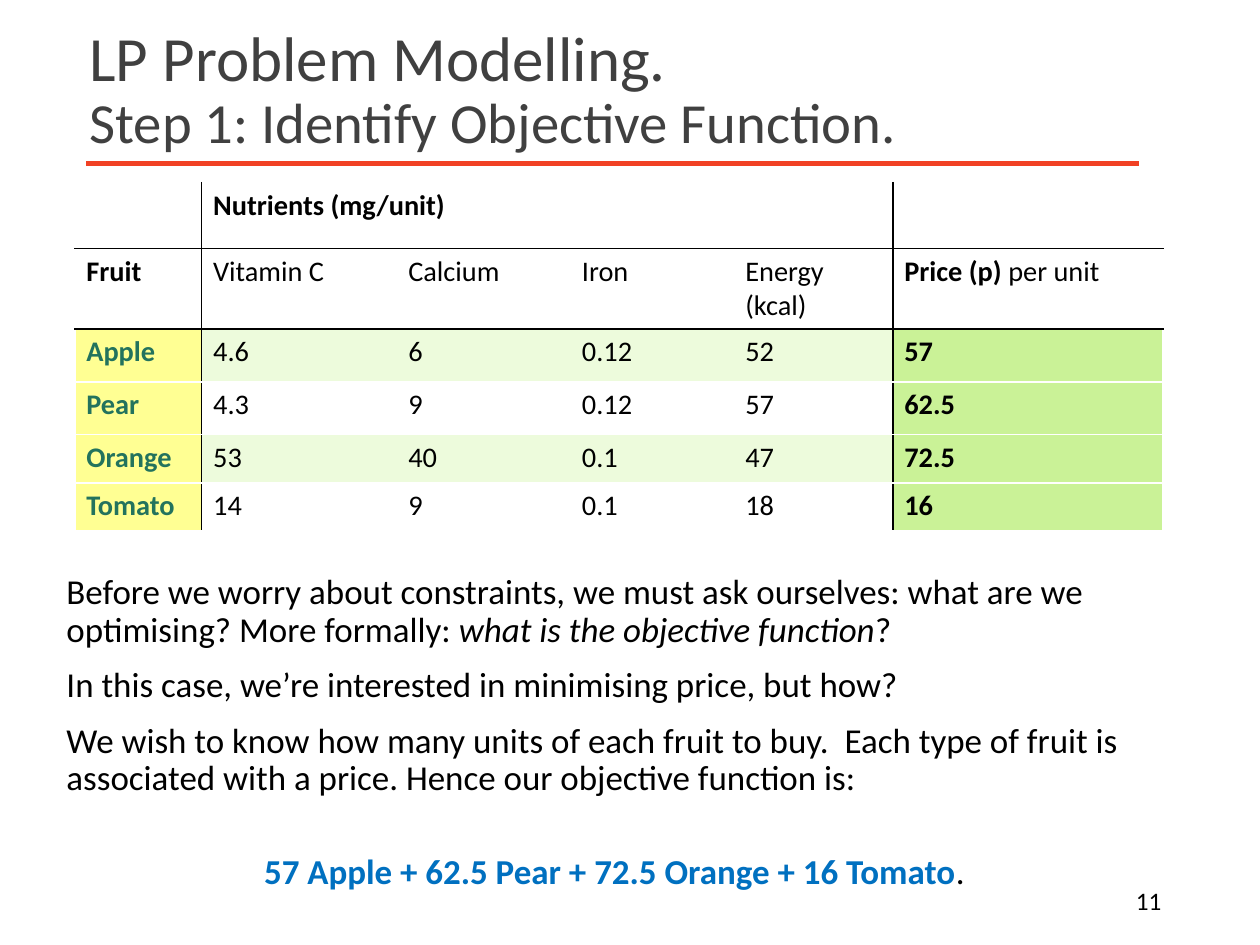
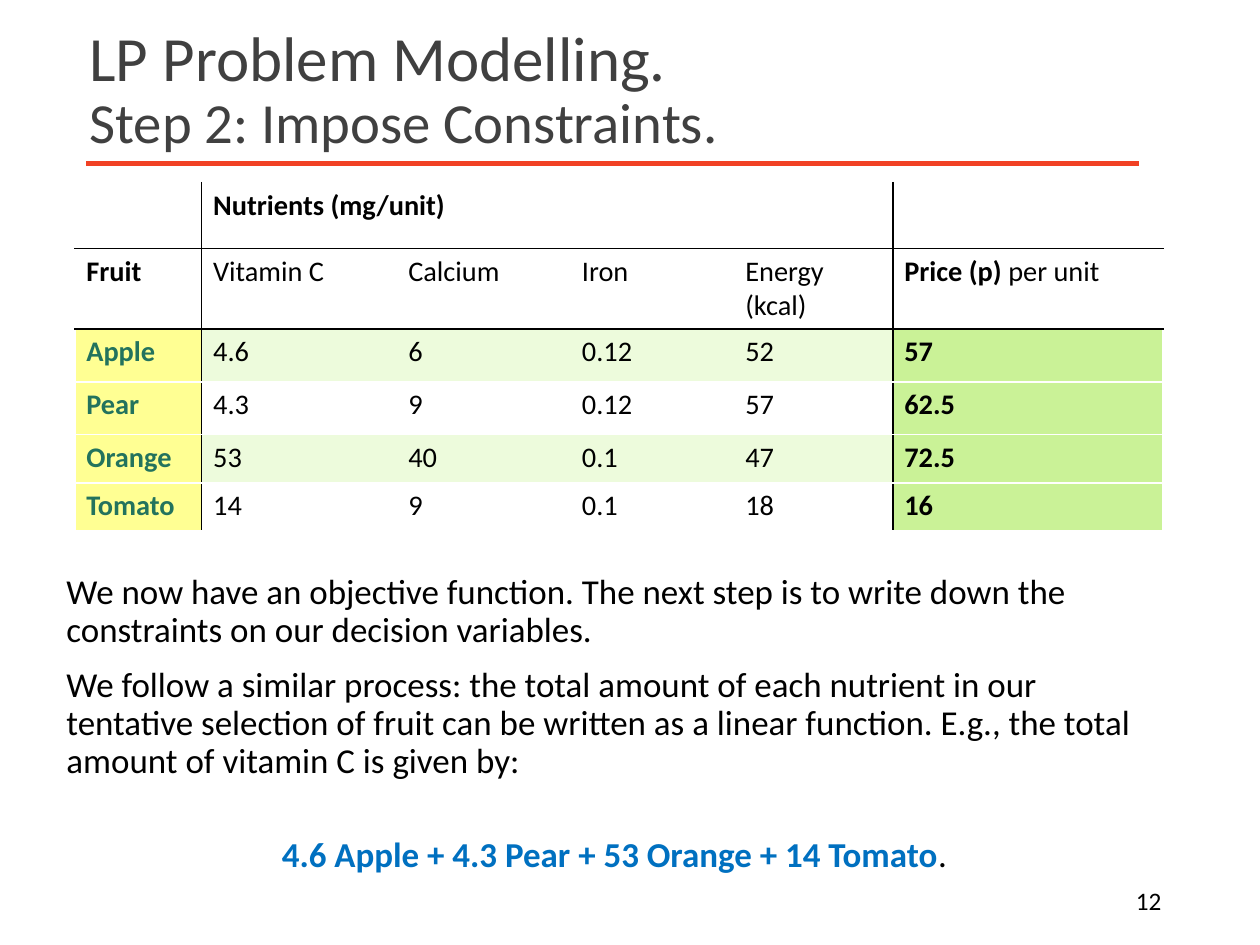
import pptx
import pptx.dml.color
import pptx.enum.shapes
import pptx.enum.text
import pptx.oxml
import pptx.util
from pptx.util import Cm, Pt

# Content: text parts are (text, style), style being "", "bold", "italic" or "formula"
FIRST_NUMBER = 11
TOPIC = "LP Problem Modelling."
STEPS = [
    {
        "title": "Step 1: Identify Objective Function.",
        "explanation": [
            [("Before we worry about constraints, we must ask ourselves: what are we "
              "optimising? More formally: ", ""),
             ("what is the objective function", "italic"), ("?", "")],
            [("In this case, we’re interested in minimising price, but how?", "")],
            [("We wish to know how many units of each fruit to buy.  Each type of fruit is "
              "associated with a price. Hence our objective function is:", "")],
        ],
        "formula": "57 Apple + 62.5 Pear + 72.5 Orange + 16 Tomato",
    },
    {
        "title": "Step 2: Impose Constraints.",
        "explanation": [
            [("We now have an objective function. The next step is to write down the "
              "constraints on our decision variables.", "")],
            [("We follow a similar process: the total amount of each nutrient in our "
              "tentative selection of fruit can be written as a linear function. E.g., the "
              "total amount of vitamin C is given by:", "")],
        ],
        "formula": "4.6 Apple + 4.3 Pear + 53 Orange + 14 Tomato",
    },
]
FRUIT_ROWS = [
    ["", "Nutrients (mg/unit)", "", "", "", ""],
    ["Fruit", "Vitamin C", "Calcium", "Iron", "Energy (kcal)", "Price (p) "],
    ["Apple", "4.6", "6", "0.12", "52", "57"],
    ["Pear", "4.3", "9", "0.12", "57", "62.5"],
    ["Orange", "53", "40", "0.1", "47", "72.5"],
    ["Tomato", "14", "9", "0.1", "18", "16"],
]
PRICE_UNIT = "per unit"
HEADER_ROWS, PRICE_COL = 2, 5

# Shared look
FONT = "Calibri"
BLACK, WHITE, GREY, RED, BLUE = "000000", "FFFFFF", "404040", "F14124", "0070C0"
FRUIT_TEXT, FRUIT_FILL, PRICE_FILL, BAND_FILL = "23735D", "FFFF93", "CAF297", "EDFBDC"
COL_WIDTHS = [2.84, 4.37, 3.89, 3.66, 3.56, 6.05]
ROW_HEIGHTS = [1.48, 1.8, 1.19, 1.17, 1.09, 1.07]
VERTICAL_RULES = {0: WHITE, 1: BLACK, 5: BLACK, 6: WHITE}
HORIZONTAL_RULES = {1: BLACK, 2: BLACK}
BODY_SIZE, BODY_GAP, FORMULA_GAP = 22.2, 11.1, 35.5


def rgb(colour):
    return pptx.dml.color.RGBColor.from_string(colour)


def set_font(font, size, colour=BLACK):
    font.name, font.size, font.color.rgb = FONT, Pt(size), rgb(colour)


def add_run(paragraph, text, style=""):
    run = paragraph.add_run()
    run.text = text
    if style in ("bold", "formula"):
        run.font.bold = True
    if style == "italic":
        run.font.italic = True
    if style == "formula":
        run.font.color.rgb = rgb(BLUE)
    return run


def add_text_frame(slide, left, top, width, height):
    frame = slide.shapes.add_textbox(Cm(left), Cm(top), Cm(width), Cm(height)).text_frame
    frame.word_wrap = True
    return frame


def add_heading(slide, step_title):
    title = slide.shapes.title
    title.left, title.top, title.width, title.height = Cm(1.75), Cm(0), Cm(24.33), Cm(4.09)
    frame = title.text_frame
    frame.auto_size = pptx.enum.text.MSO_AUTO_SIZE.NONE
    frame.vertical_anchor = pptx.enum.text.MSO_ANCHOR.MIDDLE
    heading = frame.paragraphs[0]
    heading.alignment = pptx.enum.text.PP_ALIGN.LEFT
    heading.line_spacing = 0.9
    set_font(heading.font, 40, GREY)
    add_run(heading, TOPIC).font.size = Pt(40)
    heading.add_line_break()
    add_run(heading, step_title).font.size = Pt(36)

    rule = slide.shapes.add_connector(
        pptx.enum.shapes.MSO_CONNECTOR.STRAIGHT, Cm(1.93), Cm(3.66), Cm(25.5), Cm(3.66))
    rule.line.color.rgb = rgb(RED)
    rule.line.width = Pt(3)
    effects = pptx.oxml.ns.qn("a:effectLst")
    rule._element.spPr.append(rule._element.makeelement(effects, {}))


def set_border(cell, side, colour):
    if colour:
        paint = f'<a:solidFill><a:srgbClr val="{colour}"/></a:solidFill>'
    else:
        paint = "<a:noFill/>"
    cell._tc.get_or_add_tcPr().append(pptx.oxml.parse_xml(
        f'<a:ln{side} {pptx.oxml.ns.nsdecls("a")} w="12700">{paint}</a:ln{side}>'))


def cell_fill(row, col):
    if row < HEADER_ROWS:
        return None
    if col == 0:
        return FRUIT_FILL
    if col == PRICE_COL:
        return PRICE_FILL
    return BAND_FILL if row % 2 == 0 else None


def add_fruit_table(slide):
    table = slide.shapes.add_table(
        len(ROW_HEIGHTS), len(COL_WIDTHS), Cm(1.68), Cm(4.09),
        Cm(sum(COL_WIDTHS)), Cm(sum(ROW_HEIGHTS))).table
    table.first_row = table.horz_banding = False
    for column, width in zip(table.columns, COL_WIDTHS):
        column.width = Cm(width)
    for table_row, height in zip(table.rows, ROW_HEIGHTS):
        table_row.height = Cm(height)
    table.cell(0, 1).merge(table.cell(0, PRICE_COL - 1))

    for row, texts in enumerate(FRUIT_ROWS):
        for col, text in enumerate(texts):
            cell = table.cell(row, col)
            set_border(cell, "L", VERTICAL_RULES.get(col))
            set_border(cell, "R", VERTICAL_RULES.get(col + cell.span_width))
            set_border(cell, "T", HORIZONTAL_RULES.get(row, WHITE))
            set_border(cell, "B", HORIZONTAL_RULES.get(row + 1, WHITE))
            fill = cell_fill(row, col)
            if fill:
                cell.fill.solid()
                cell.fill.fore_color.rgb = rgb(fill)
            else:
                cell.fill.background()
            entry = cell.text_frame.paragraphs[0]
            is_fruit = col == 0 and row >= HEADER_ROWS
            set_font(entry.font, 18, FRUIT_TEXT if is_fruit else BLACK)
            if text:
                add_run(entry, text, "bold" if row == 0 or col in (0, PRICE_COL) else "")
    add_run(table.cell(1, PRICE_COL).text_frame.paragraphs[0], PRICE_UNIT)


def add_explanation(slide, explanation, formula):
    frame = add_text_frame(slide, 1.24, 12.75, 25.04, 7.39)
    lines = explanation + [[(formula, "formula"), (".", "")]]
    for index, parts in enumerate(lines):
        line = frame.add_paragraph() if index else frame.paragraphs[0]
        line.line_spacing = 0.9
        line.space_before = Pt(BODY_GAP)
        set_font(line.font, BODY_SIZE)
        for text, style in parts:
            add_run(line, text, style)
    # The closing formula stands apart, centred
    line.space_before = Pt(FORMULA_GAP)
    line.alignment = pptx.enum.text.PP_ALIGN.CENTER


def add_page_number(slide, number):
    frame = add_text_frame(slide, 19.91, 19.61, 6.35, 1.12)
    frame.vertical_anchor = pptx.enum.text.MSO_ANCHOR.MIDDLE
    page = frame.paragraphs[0]
    page.alignment = pptx.enum.text.PP_ALIGN.RIGHT
    set_font(page.font, 16)
    add_run(page, str(number))


# Build the slides
deck = pptx.Presentation()
deck.slide_width, deck.slide_height = Cm(28.22), Cm(21.17)
title_only = deck.slide_layouts[5]
for number, step in enumerate(STEPS, FIRST_NUMBER):
    slide = deck.slides.add_slide(title_only)
    add_heading(slide, step["title"])
    add_explanation(slide, step["explanation"], step["formula"])
    add_page_number(slide, number)
    add_fruit_table(slide)
deck.save("out.pptx")
